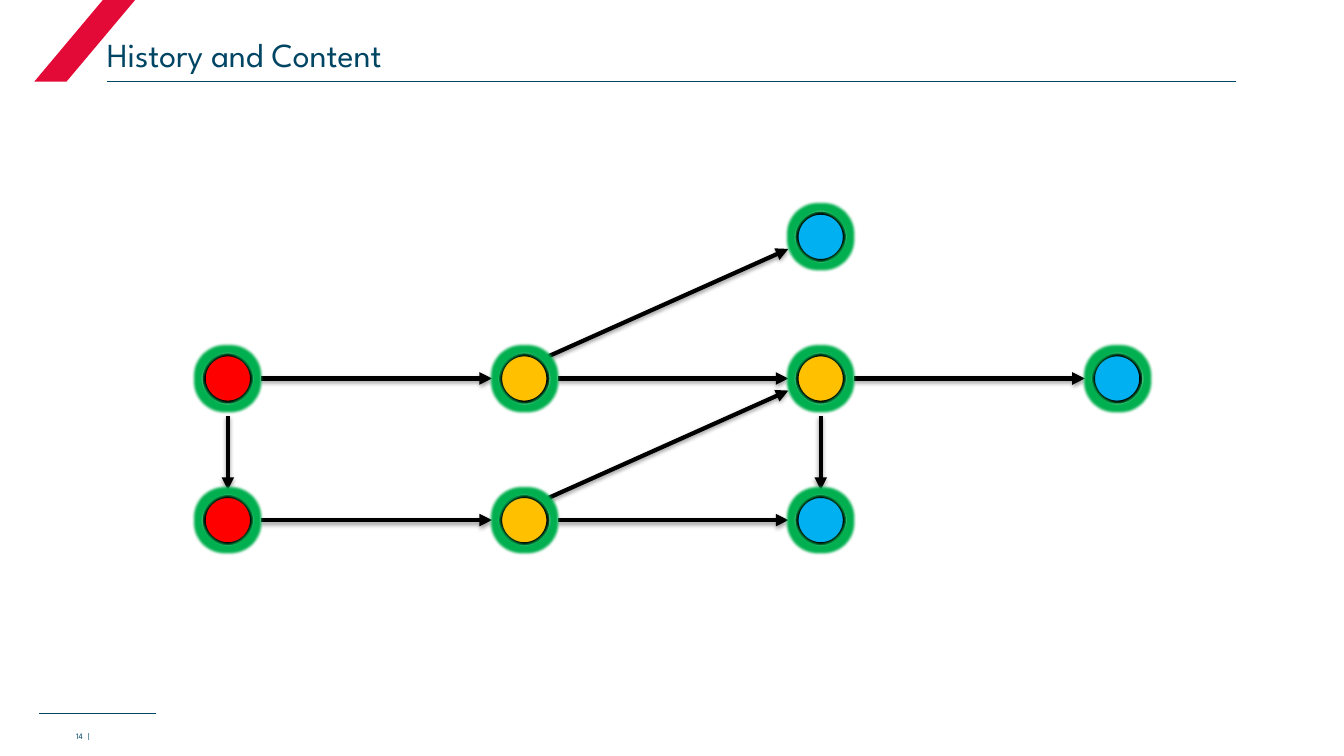
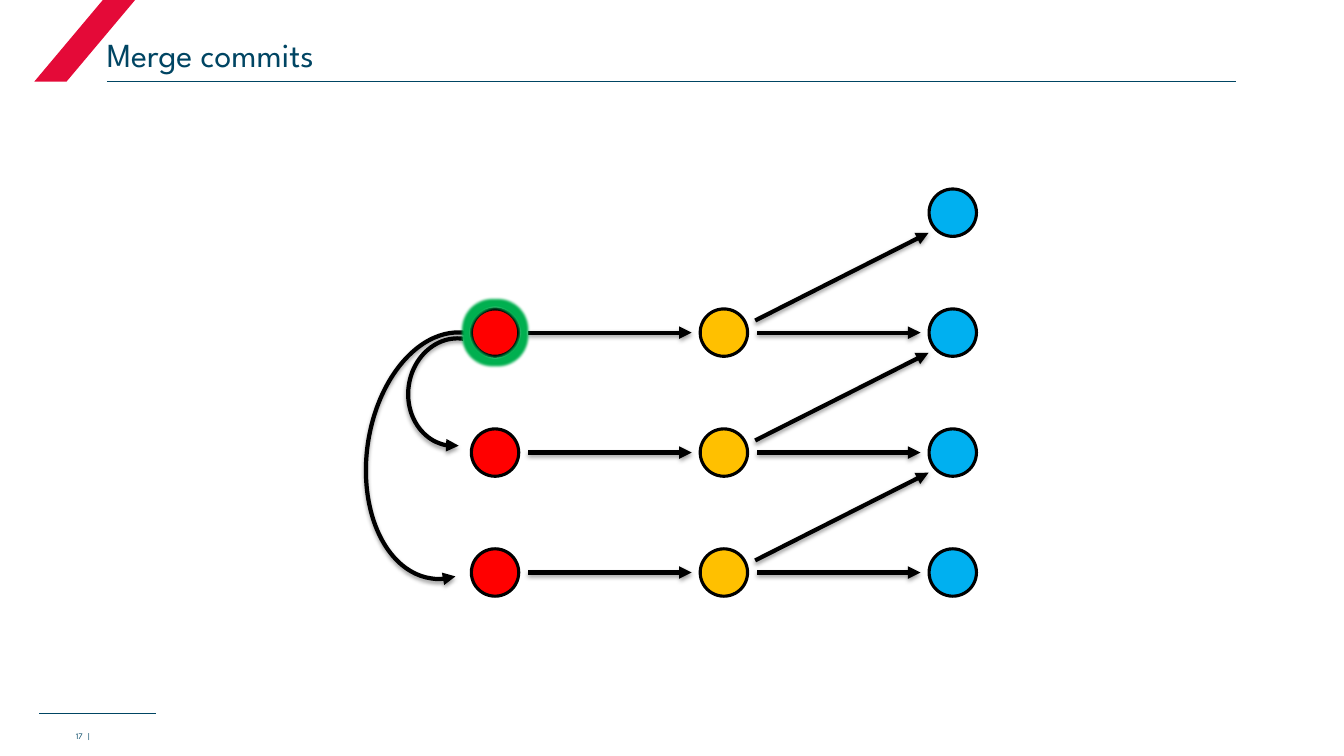
import lxml.etree
import pptx
import pptx.dml.color
import pptx.enum.shapes
import pptx.enum.text
import pptx.oxml
import pptx.oxml.ns
import pptx.util

IN, PT = pptx.util.Inches, pptx.util.Pt
SHAPE = pptx.enum.shapes.MSO_SHAPE
ALIGN = pptx.enum.text.PP_ALIGN
FONT = "League Spartan"
NAVY, CRIMSON, BLACK, GREEN = "004563", "E40A38", "000000", "00B050"
NODE_FILL = {"R": "FF0000", "Y": "FFC000", "B": "00B0F0"}
NODE_SIZE, HALO_SIZE = 0.47, 0.57
SHADOW = (
    '<a:outerShdw blurRad="40000" dist="20000" dir="5400000" rotWithShape="0">'
    '<a:srgbClr val="000000"><a:alpha val="38000"/></a:srgbClr></a:outerShdw>'
)
GLOW = f'<a:glow rad="50800"><a:srgbClr val="{GREEN}"/></a:glow>'


def rgb(value):
    """Turn a hex string into a colour."""
    return pptx.dml.color.RGBColor.from_string(value)


def set_line(sp, color, width):
    """Give an outline or a connector its colour and width."""
    sp.line.color.rgb = rgb(color)
    sp.line.width = PT(width)


def set_effect(sp, effect=""):
    """Replace the theme's effects by the given one, or by none."""
    ns = pptx.oxml.ns.nsdecls("a")
    xml = f"<a:effectLst {ns}>{effect}</a:effectLst>"
    sp._element.spPr.append(pptx.oxml.parse_xml(xml))


def add_tip(sp, end):
    """Put a triangle on the headEnd or the tailEnd of a line."""
    tip = lxml.etree.SubElement(sp.line._get_or_add_ln(), pptx.oxml.ns.qn(f"a:{end}"))
    tip.set("type", "triangle")


def add_shape(s, kind, box, fill=None, line=None, effect=""):
    """Add a preset shape with an optional fill, outline and effect."""
    sp = s.shapes.add_shape(kind, *map(IN, box))
    if fill:
        sp.fill.solid()
        sp.fill.fore_color.rgb = rgb(fill)
    else:
        sp.fill.background()
    if line:
        set_line(sp, *line)
    else:
        sp.line.fill.background()
    set_effect(sp, effect)
    return sp


def add_line(s, start, end, color, width, effect=""):
    """Add a straight connector between two points."""
    kind = pptx.enum.shapes.MSO_CONNECTOR.STRAIGHT
    sp = s.shapes.add_connector(kind, *map(IN, (*start, *end)))
    set_line(sp, color, width)
    set_effect(sp, effect)
    return sp


def add_text(s, box, text, size, align=ALIGN.LEFT):
    """Add one line of text resting on the bottom of its box."""
    tf = s.shapes.add_textbox(*map(IN, box)).text_frame
    tf.word_wrap = True
    tf.vertical_anchor = pptx.enum.text.MSO_ANCHOR.BOTTOM
    tf.margin_left = tf.margin_right = tf.margin_top = tf.margin_bottom = 0
    p = tf.paragraphs[0]
    p.text = text
    p.alignment = align
    p.font.name = FONT
    p.font.size = PT(size)
    p.font.color.rgb = rgb(NAVY)


def add_frame(prs, title, number):
    """Add a blank slide with its title band and page number."""
    s = prs.slides.add_slide(prs.slide_layouts[6])
    add_line(s, (0.39, 7.08), (1.55, 7.08), NAVY, 0.5)
    band = add_shape(s, SHAPE.PARALLELOGRAM, (0.34, 0, 1, 0.81), CRIMSON)
    band.adjustments[0] = 0.84
    add_line(s, (1.06, 0.81), (12.26, 0.81), NAVY, 0.5)
    add_text(s, (1.06, 0.37, 11.2, 0.37), title, 24)
    for text, right in ((str(number), 0.82), ("|", 0.89)):
        add_text(s, (right - 0.5, 7.12, 0.5, 0.23), text, 6, ALIGN.RIGHT)
    return s


def add_circle(s, center, size, fill, line, effect=""):
    """Add a circle around a centre."""
    x, y = center
    box = (x - size / 2, y - size / 2, size, size)
    return add_shape(s, SHAPE.OVAL, box, fill, line, effect)


def add_graph(s, box, rows, edges, halos, gaps):
    """Draw nodes on a grid of centres, arrows between them, and glowing halos."""
    x, y, w, h = box
    col_step, row_step = w / (len(rows[0]) - 1), h / (len(rows) - 1)

    def center(col, row):
        """Find the centre of a grid cell."""
        return x + col * col_step, y + row * row_step

    for row, letters in enumerate(rows):
        for col, letter in enumerate(letters):
            if letter in NODE_FILL:
                add_circle(s, center(col, row), NODE_SIZE, NODE_FILL[letter], (BLACK, 2.25))
    for col, row, right, down in edges:
        ends = (center(col, row), center(col + right, row + down))
        start, end = (
            (cx + dx, cy + dy) for (cx, cy), (dx, dy) in zip(ends, gaps[right, down])
        )
        add_tip(add_line(s, start, end, BLACK, 3, SHADOW), "tailEnd")
    for col, row in halos:
        add_circle(s, center(col, row), HALO_SIZE, None, (GREEN, 2.25), GLOW)


def add_parent_arc(s, center, size):
    """Draw a curved arrow that bulges left around its centre."""
    (x, y), (w, h) = center, size
    box = (x - w / 2, y - h / 2, w, h)
    arc = add_shape(s, SHAPE.ARC, box, None, (BLACK, 3), SHADOW)
    arc.adjustments[0], arc.adjustments[1] = 101.21, 0
    arc.rotation = 278.1
    add_tip(arc, "headEnd")


def add_history(prs):
    """Build the slide where every node of the history glows."""
    s = add_frame(prs, "History and Content", 14)
    rows = ["--B-", "RYYB", "RYB-"]
    edges = [(col, 1, 1, 0) for col in range(3)] + [(col, 2, 1, 0) for col in range(2)]
    edges += [(col, 1, 0, 1) for col in (0, 2)] + [(1, row, 1, -1) for row in (1, 2)]
    halos = [
        (col, row)
        for row, letters in enumerate(rows)
        for col, letter in enumerate(letters)
        if letter in NODE_FILL
    ]
    gaps = {
        (1, 0): ((0.33, 0), (-0.32, 0)),
        (0, 1): ((0, 0.37), (0, -0.3)),
        (1, -1): ((0.24, -0.22), (-0.32, 0.12)),
    }
    add_graph(s, (2.26, 2.35, 8.82, 2.81), rows, edges, halos, gaps)


def add_merge(prs):
    """Build the slide where one commit has two parents."""
    s = add_frame(prs, "Merge commits", 17)
    add_parent_arc(s, (4.52, 3.89), (1.07, 0.94))
    add_parent_arc(s, (4.45, 4.52), (2.46, 1.62))
    edges = [
        (col, row, 1, down)
        for row in (1, 2, 3)
        for col, down in ((0, 0), (1, 0), (1, -1))
    ]
    gaps = {
        (1, 0): ((0.33, 0), (-0.32, 0)),
        (1, -1): ((0.31, -0.12), (-0.24, 0.2)),
    }
    rows = ["--B", "RYB", "RYB", "RYB"]
    add_graph(s, (4.91, 2.11, 4.54, 3.57), rows, edges, [(0, 1)], gaps)


def main():
    """Build and save the presentation."""
    prs = pptx.Presentation()
    prs.slide_width, prs.slide_height = IN(13.33), IN(7.5)
    add_history(prs)
    add_merge(prs)
    prs.save("out.pptx")


if __name__ == "__main__":
    main()
